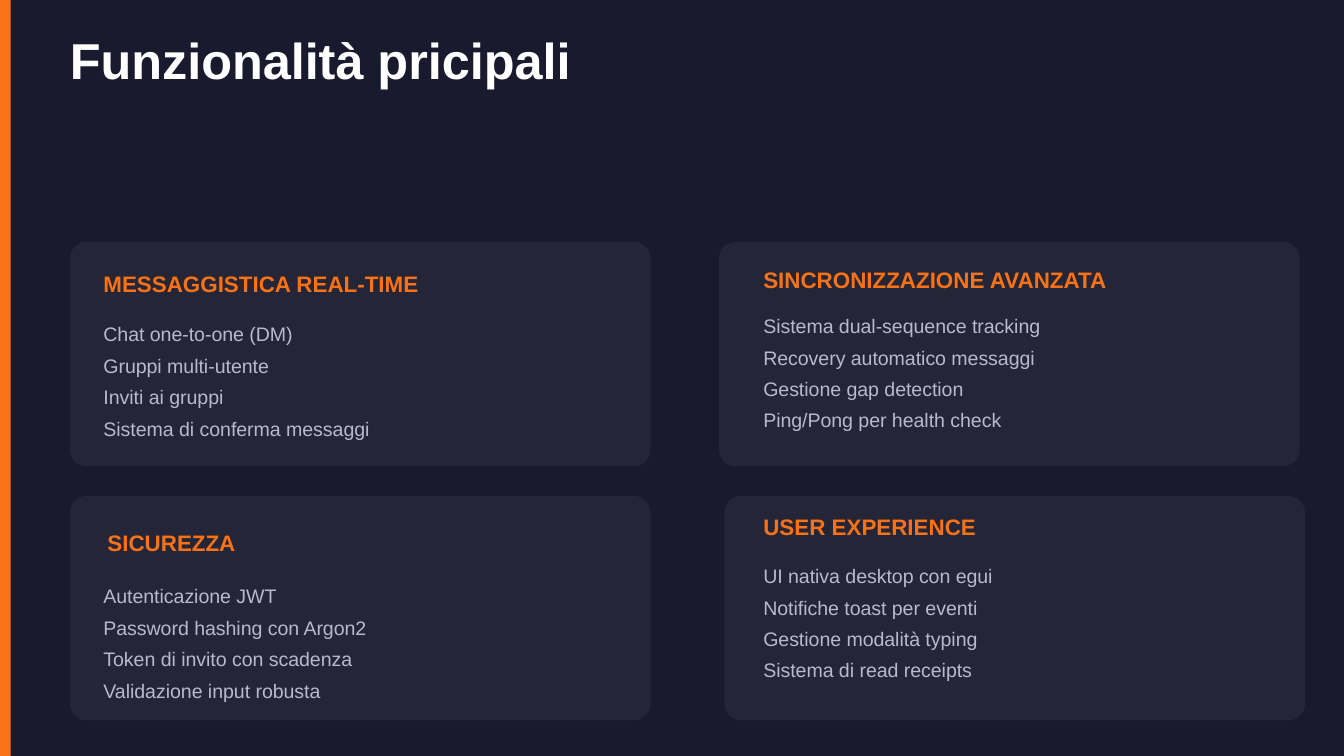
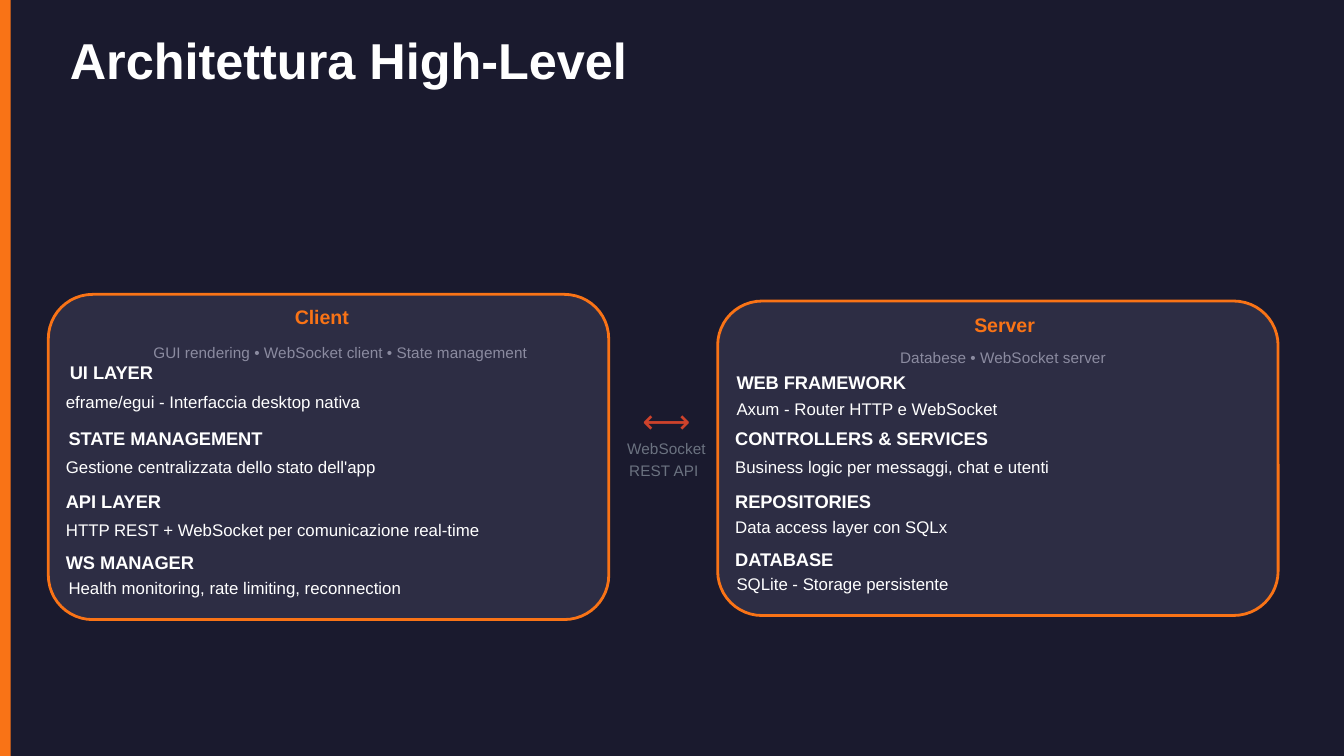
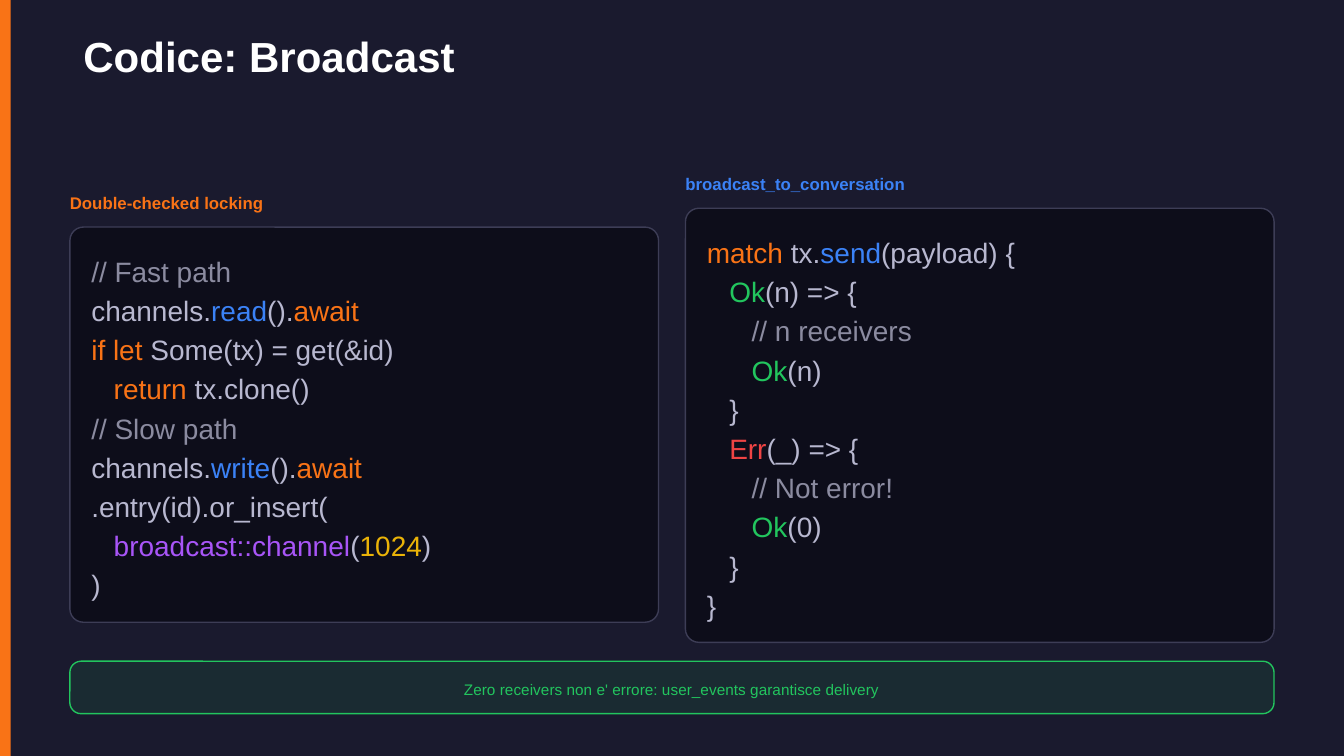
from dataclasses import dataclass, replace

from lxml import etree
from pptx import Presentation
from pptx.dml.color import RGBColor
from pptx.enum.shapes import MSO_SHAPE as Shape
from pptx.enum.text import PP_ALIGN as Align
from pptx.oxml.ns import qn
from pptx.util import Inches, Pt


@dataclass(frozen=True)
class TextStyle:
    size: float
    line: float
    color: str
    bold: bool = False
    after: float = 0
    align: Align = Align.LEFT


class Theme:
    width = 10
    height = width * 9 / 16
    font = "Arial"
    # Colours
    background = "1A1A2E"
    accent = "F97316"
    white = "FFFFFF"
    body = "B8B8D0"
    muted = "8B8BA0"
    label = "6B7280"
    card = "252538"
    panel = "2D2D44"
    code_fill = "0D0D1A"
    code_border = "3D3D56"
    rust = "CE422B"
    blue = "3B82F6"
    green = "22C55E"
    red = "EF4444"
    purple = "A855F7"
    yellow = "EAB308"
    # Text styles
    title = TextStyle(27, 27, white, bold=True)
    code_title = TextStyle(22.5, 22.5, white, bold=True)
    card_heading = TextStyle(12, 14.4, accent, bold=True, after=9)
    card_body = TextStyle(10.5, 16.8, body)
    panel_title = TextStyle(10.5, 14.7, accent, bold=True, align=Align.CENTER)
    panel_note = TextStyle(8.25, 11.6, muted, align=Align.CENTER)
    layer_name = TextStyle(9.75, 11.7, white, bold=True, after=6)
    layer_text = TextStyle(9, 13.5, white)
    arrow = TextStyle(18, 27, rust, after=6, align=Align.CENTER)
    link = TextStyle(8.25, 12.4, label, align=Align.CENTER)
    code_heading = TextStyle(9, 12.6, accent, bold=True)
    code = TextStyle(15, 21, body)
    callout = TextStyle(8.25, 11.6, green, align=Align.CENTER)


class Deck:
    def __init__(self, theme):
        self.theme = theme
        self.presentation = Presentation()
        self.presentation.slide_width = Inches(theme.width)
        self.presentation.slide_height = Inches(theme.height)
        self.slide = None

    def new_slide(self, title, style, left=0.52):
        """Start a slide with the background, side band and title."""
        self.slide = self.presentation.slides.add_slide(
            self.presentation.slide_layouts[6])
        fill = self.slide.background.fill
        fill.solid()
        fill.fore_color.rgb = RGBColor.from_string(self.theme.background)
        self.box((0, 0, 0.08, self.theme.height), self.theme.accent)
        self.text((left, 0.29, 4.74, 0.38), [title], style)

    def box(self, area, fill, border=None, width=0.75, radius=0, opacity=None):
        """Draw a rectangle, rounded when a corner radius in inches is given."""
        kind = Shape.ROUNDED_RECTANGLE if radius else Shape.RECTANGLE
        shape = self.slide.shapes.add_shape(kind, *map(Inches, area))
        shape.shadow.inherit = False
        shape.fill.solid()
        shape.fill.fore_color.rgb = RGBColor.from_string(fill)
        if opacity is not None:
            color = shape.fill._xPr.find(qn("a:solidFill"))[0]
            etree.SubElement(color, qn("a:alpha")).set("val", str(opacity * 1000))
        if border:
            shape.line.color.rgb = RGBColor.from_string(border)
            shape.line.width = Pt(width)
        else:
            shape.line.fill.background()
        if radius:
            shape.adjustments[0] = radius / min(area[2:])

    def text(self, area, lines, style, indent=0, wrap=True):
        """Each line is a string or a list of (text, colour) runs."""
        frame = self.slide.shapes.add_textbox(*map(Inches, area)).text_frame
        frame.word_wrap = wrap
        frame.margin_left = Inches(indent)
        frame.margin_top = frame.margin_right = frame.margin_bottom = 0
        for index, line in enumerate(lines):
            paragraph = frame.add_paragraph() if index else frame.paragraphs[0]
            paragraph.alignment = style.align
            paragraph.line_spacing = Pt(style.line)
            paragraph.space_after = Pt(style.after)
            runs = [(line, style.color)] if isinstance(line, str) else line
            for content, color in runs:
                run = paragraph.add_run()
                run.text = content
                run.font.name = self.theme.font
                run.font.size = Pt(style.size)
                run.font.bold = style.bold
                run.font.color.rgb = RGBColor.from_string(color)

    def card(self, corner, heading_at, body_at, heading, lines):
        self.box((*corner, 4.32, 1.67), self.theme.card, radius=1 / 8)
        self.text((*heading_at, 3.94, 0.2), [heading], self.theme.card_heading)
        self.text((*body_at, 3.94, 0.93), lines, self.theme.card_body)

    def panel(self, area, title_at, note_at, title, note, layers):
        theme = self.theme
        self.box(area, theme.panel, theme.accent, width=1.5, radius=0.33)
        self.text((*title_at, 3.57, 0.2), [title], theme.panel_title)
        self.text((*note_at, 3.57, 0.16), [note], theme.panel_note)
        for name_at, name, text_at, description in layers:
            self.text((*name_at, 3.78, 0.16), [name], theme.layer_name)
            self.text((*text_at, 3.78, 0.19), [description], theme.layer_text)

    def code_block(self, left, top, height, heading, heading_color, lines):
        """Each line is (indent level, runs); lines share one pitch."""
        theme = self.theme
        self.text((left, top - 0.28, 4.46, 0.17), [heading],
                  replace(theme.code_heading, color=heading_color))
        self.box((left, top, 4.38, height), theme.code_fill,
                 theme.code_border, radius=0.1)
        pitch = theme.code.line / 72
        for index, (level, runs) in enumerate(lines):
            area = (left + 0.16, top + 0.16 + index * pitch, 4.14, pitch)
            self.text(area, [runs], theme.code, indent=level / 6)


def features_slide(deck):
    deck.new_slide("Funzionalità pricipali", deck.theme.title)
    cards = [
        ((0.52, 1.8), (0.77, 2.01), (0.77, 2.34), "MESSAGGISTICA REAL-TIME",
         ["Chat one-to-one (DM)", "Gruppi multi-utente",
          "Inviti ai gruppi", "Sistema di conferma messaggi"]),
        ((5.35, 1.8), (5.68, 1.98), (5.68, 2.28), "SINCRONIZZAZIONE AVANZATA",
         ["Sistema dual-sequence tracking", "Recovery automatico messaggi",
          "Gestione gap detection", "Ping/Pong per health check"]),
        ((0.52, 3.69), (0.8, 3.94), (0.77, 4.29), "SICUREZZA",
         ["Autenticazione JWT", "Password hashing con Argon2",
          "Token di invito con scadenza", "Validazione input robusta"]),
        ((5.39, 3.69), (5.68, 3.82), (5.68, 4.14), "USER EXPERIENCE",
         ["UI nativa desktop con egui", "Notifiche toast per eventi",
          "Gestione modalità typing", "Sistema di read receipts"]),
    ]
    for card in cards:
        deck.card(*card)


def architecture_slide(deck):
    theme = deck.theme
    deck.new_slide("Architettura High-Level", theme.title)
    deck.panel(
        (0.36, 2.19, 4.17, 2.42), (0.61, 2.24), (0.75, 2.53), "Client",
        "GUI rendering • WebSocket client • State management",
        [((0.52, 2.69), "UI LAYER",
          (0.49, 2.88), "eframe/egui - Interfaccia desktop nativa"),
         ((0.51, 3.18), "STATE MANAGEMENT",
          (0.49, 3.36), "Gestione centralizzata dello stato dell'app"),
         ((0.49, 3.65), "API LAYER",
          (0.49, 3.83), "HTTP REST + WebSocket per comunicazione real-time"),
         ((0.49, 4.1), "WS MANAGER",
          (0.51, 4.26), "Health monitoring, rate limiting, reconnection")])
    deck.panel(
        (5.34, 2.24, 4.17, 2.34), (5.69, 2.3), (5.68, 2.57), "Server",
        "Databese • WebSocket server",
        [((5.48, 2.76), "WEB FRAMEWORK",
          (5.48, 2.93), "Axum - Router HTTP e WebSocket"),
         ((5.47, 3.18), "CONTROLLERS & SERVICES",
          (5.47, 3.36), "Business logic per messaggi, chat e utenti"),
         ((5.47, 3.65), "REPOSITORIES",
          (5.47, 3.81), "Data access layer con SQLx"),
         ((5.47, 4.08), "DATABASE",
          (5.48, 4.23), "SQLite - Storage persistente")])
    # Link between the two panels
    deck.text((4.66, 2.9, 0.6, 0.38), ["⟷"], theme.arrow)
    deck.text((4.66, 3.23, 0.6, 0.17), ["WebSocket"], theme.link, wrap=False)
    deck.text((4.64, 3.4, 0.6, 0.17), ["REST API"], theme.link, wrap=False)


def broadcast_slide(deck):
    theme = deck.theme
    keyword, plain, call = theme.accent, theme.body, theme.blue
    comment, success = theme.muted, theme.green
    deck.new_slide("Codice: Broadcast", theme.code_title, left=0.62)

    def channel_access(method):
        return 0, [("channels.", plain), (method, call), ("().", plain), ("await", keyword)]

    deck.code_block(0.52, 1.69, 2.94, "Double-checked locking", theme.accent, [
        (0, [("// Fast path", comment)]),
        channel_access("read"),
        (0, [("if let", keyword), (" Some(tx) = get(&id)", plain)]),
        (1, [("return", keyword), (" tx.clone()", plain)]),
        (0, [("// Slow path", comment)]),
        channel_access("write"),
        (0, [(".entry(id).or_insert(", plain)]),
        (1, [("broadcast::channel", theme.purple), ("(", plain),
             ("1024", theme.yellow), (")", plain)]),
        (0, [(")", plain)]),
    ])
    deck.code_block(5.1, 1.55, 3.23, "broadcast_to_conversation", theme.blue, [
        (0, [("match", keyword), (" tx.", plain), ("send", call), ("(payload) {", plain)]),
        (1, [("Ok", success), ("(n) => {", plain)]),
        (2, [("// n receivers", comment)]),
        (2, [("Ok", success), ("(n)", plain)]),
        (1, [("}", plain)]),
        (1, [("Err", theme.red), ("(_) => {", plain)]),
        (2, [("// Not error!", comment)]),
        (2, [("Ok", success), ("(0)", plain)]),
        (1, [("}", plain)]),
        (0, [("}", plain)]),
    ])
    # Closing remark
    deck.box((0.52, 4.92, 8.96, 0.39), theme.green, theme.green,
             radius=1 / 12, opacity=10)
    deck.text((0.55, 5.04, 8.9, 0.16),
              ["Zero receivers non e' errore: user_events garantisce delivery"],
              theme.callout)


def main():
    deck = Deck(Theme())
    features_slide(deck)
    architecture_slide(deck)
    broadcast_slide(deck)
    deck.presentation.save("out.pptx")


if __name__ == "__main__":
    main()
